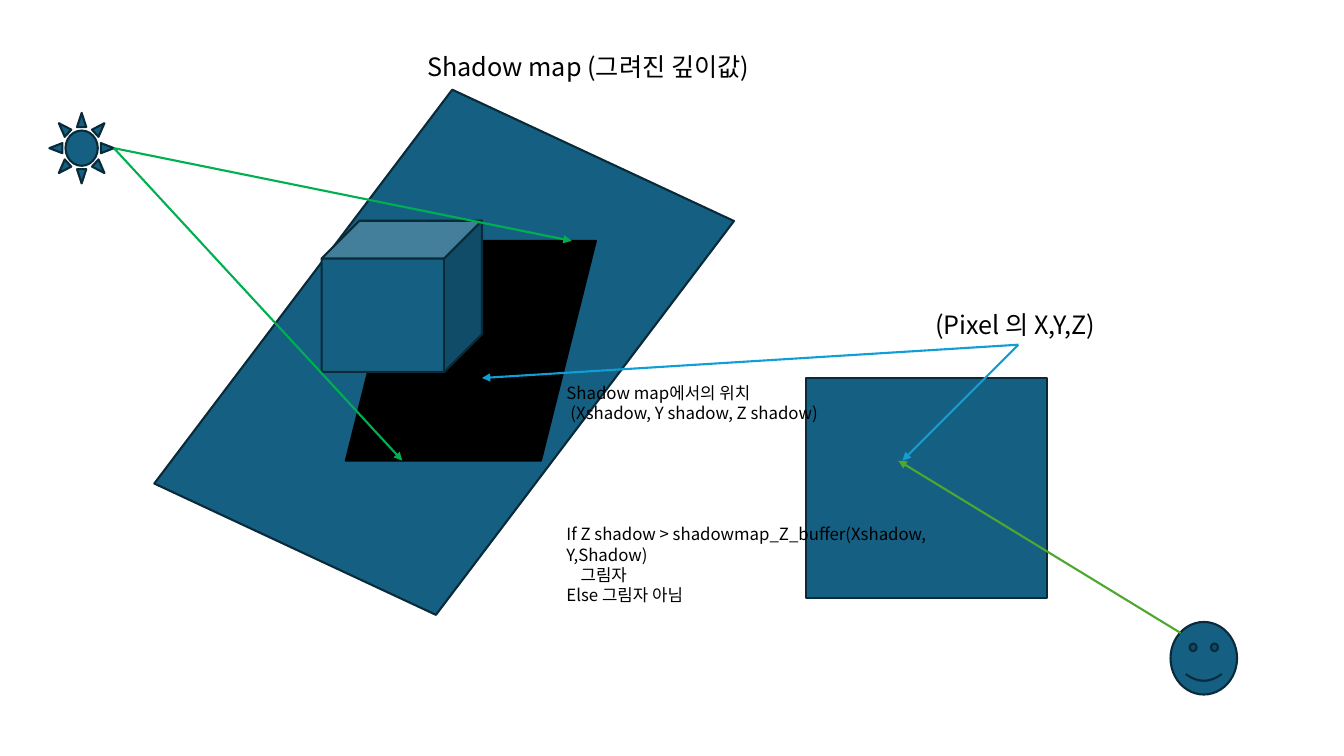
from lxml import etree
from pptx import Presentation
from pptx.dml.color import RGBColor
from pptx.enum.shapes import MSO_CONNECTOR, MSO_SHAPE
from pptx.enum.text import MSO_AUTO_SIZE
from pptx.oxml.ns import qn
from pptx.util import Pt

PX = 9144
FONT = "Noto Sans CJK KR"
COLORS = {
    "surface": "156082",
    "outline": "092A39",
    "black": "000000",
    "light_ray": "00B050",
    "eye_ray": "4EA72E",
    "lookup": "0F9ED5",
}
STRAIGHT = MSO_CONNECTOR.STRAIGHT
PARALLELOGRAM = MSO_SHAPE.PARALLELOGRAM
CUBE = MSO_SHAPE.CUBE
SUN = MSO_SHAPE.SUN
FACE = MSO_SHAPE.SMILEY_FACE
RECTANGLE = MSO_SHAPE.RECTANGLE
FIXED_SIZE = MSO_AUTO_SIZE.NONE
BOTTOM, RIGHT = 2, 3


def color(name):
    return RGBColor.from_string(COLORS[name])


def emu(*lengths):
    return [length * PX for length in lengths]


def add_solid(page, kind, box, fill="surface", outline="outline", rotation=0):
    solid = page.shapes.add_shape(kind, *emu(*box))
    solid.shadow.inherit = False
    solid.rotation = rotation
    solid.fill.solid()
    solid.fill.fore_color.rgb = color(fill)
    solid.line.color.rgb = color(outline)
    solid.line.width = Pt(1.5)
    return solid


def add_arrow(page, start, end, stroke, source=None, side=None):
    arrow = page.shapes.add_connector(STRAIGHT, *emu(*start, *end))
    if source is not None:
        arrow.begin_connect(source, side)
    arrow.line.color.rgb = color(stroke)
    arrow.line.width = Pt(1.5)
    etree.SubElement(arrow.line._get_or_add_ln(), qn("a:tailEnd"), type="triangle")
    etree.SubElement(arrow._element.spPr, qn("a:effectLst"))


def add_text(page, box, size, lines):
    label = page.shapes.add_textbox(*emu(*box))
    frame = label.text_frame
    frame.word_wrap = True
    frame.auto_size = FIXED_SIZE
    for index, (words, indent, gap) in enumerate(lines):
        para = frame.paragraphs[0] if index == 0 else frame.add_paragraph()
        para.space_before = Pt(gap)
        para._p.get_or_add_pPr().set("marL", str(indent * PX))
        span = para.add_run()
        span.text = words
        for name, value in {"size": Pt(size), "name": FONT}.items():
            setattr(span.font, name, value)
        span.font.color.rgb = color("black")
        etree.SubElement(span._r.get_or_add_rPr(), qn("a:ea"), typeface=FONT)
    return label


def add_shadow_map(page, box):
    left, top, width, height = box
    add_solid(page, PARALLELOGRAM, box, rotation=25)
    add_solid(page, PARALLELOGRAM, (left + 108, top + 129, 248, 218), "black", "black")
    add_solid(page, CUBE, (left + 84, top + 109, 159, 150))


def add_light(page, box, targets):
    left, top, width, height = box
    sun = add_solid(page, SUN, box)
    for target in targets:
        start = (left + width, top + height // 2)
        add_arrow(page, start, target, "light_ray", sun, RIGHT)


def add_viewer(page, box, target):
    left, top, width, height = box
    add_solid(page, FACE, box)
    add_solid(page, RECTANGLE, (799, 375, 239, 218))
    add_arrow(page, (left + 10, top + 11), target, "eye_ray")


def add_pixel(page, box, targets):
    left, top, width, height = box
    pixel = add_text(page, box, 18, [("(Pixel 의 X,Y,Z)", 0, 0)])
    for target in targets:
        start = (left + width // 2, top + height)
        add_arrow(page, start, target, "lookup", pixel, BOTTOM)


def add_depth_test(page, box):
    add_text(page, box, 12, [
        ("Shadow map에서의 위치", 0, 0),
        ("(Xshadow, Y shadow, Z shadow)", 4, 0),
        ("If Z shadow > shadowmap_Z_buffer(Xshadow, Y,Shadow)", 0, 72),
        ("그림자", 14, 0),
        ("Else 그림자 아님", 0, 0),
    ])


def main():
    deck = Presentation()
    deck.slide_width, deck.slide_height = emu(1333, 750)
    page = deck.slides.add_slide(deck.slide_layouts[6])
    add_shadow_map(page, (235, 110, 411, 479))
    add_light(page, (49, 112, 64, 70), [(567, 239), (399, 457)])
    add_text(page, (414, 46, 355, 40), 18, [("Shadow map (그려진 깊이값)", 0, 0)])
    add_viewer(page, (1161, 617, 66, 72), (891, 457))
    add_pixel(page, (918, 302, 184, 40), [(895, 457), (478, 375)])
    add_depth_test(page, (552, 375, 456, 212))
    deck.save("out.pptx")


if __name__ == "__main__":
    main()
